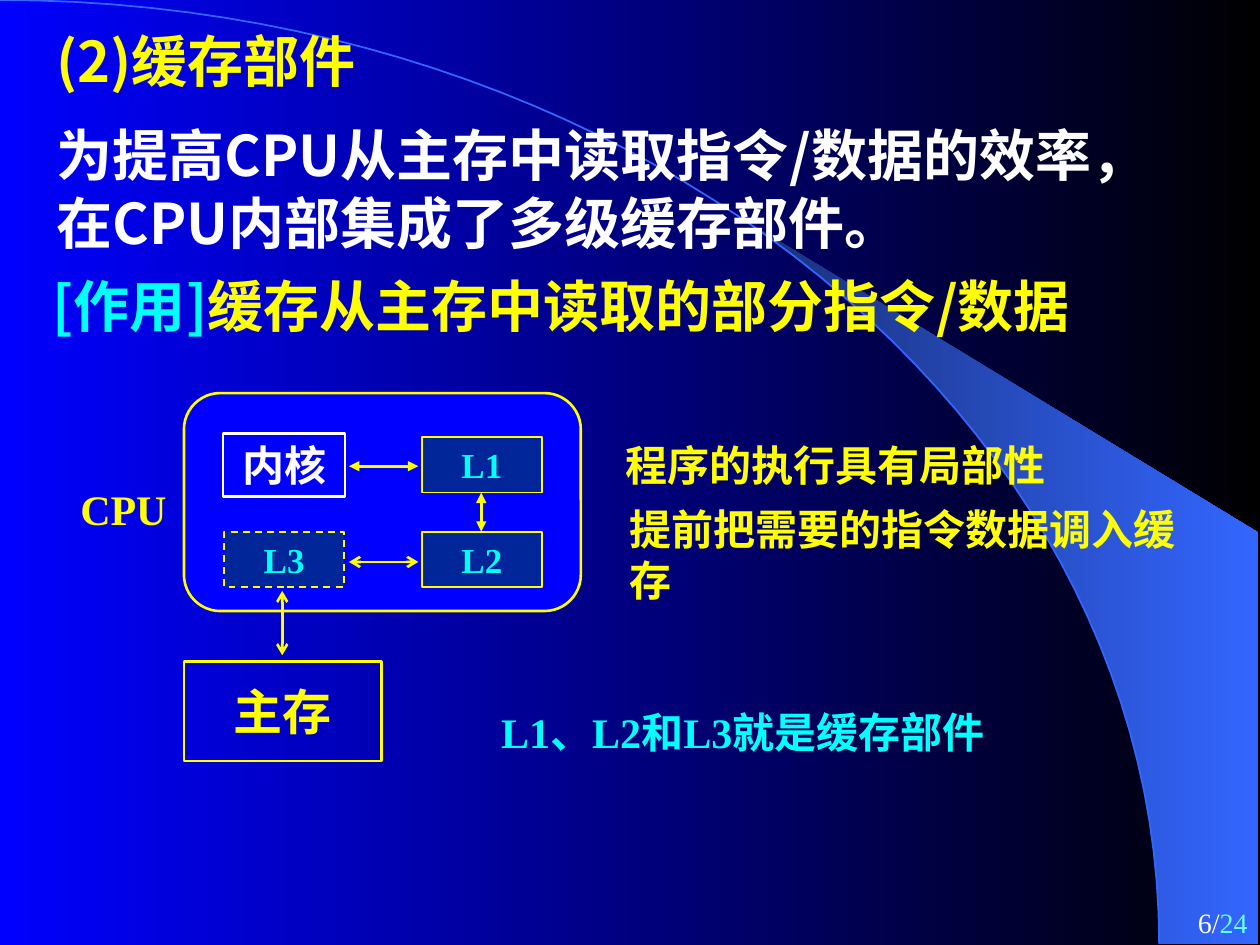
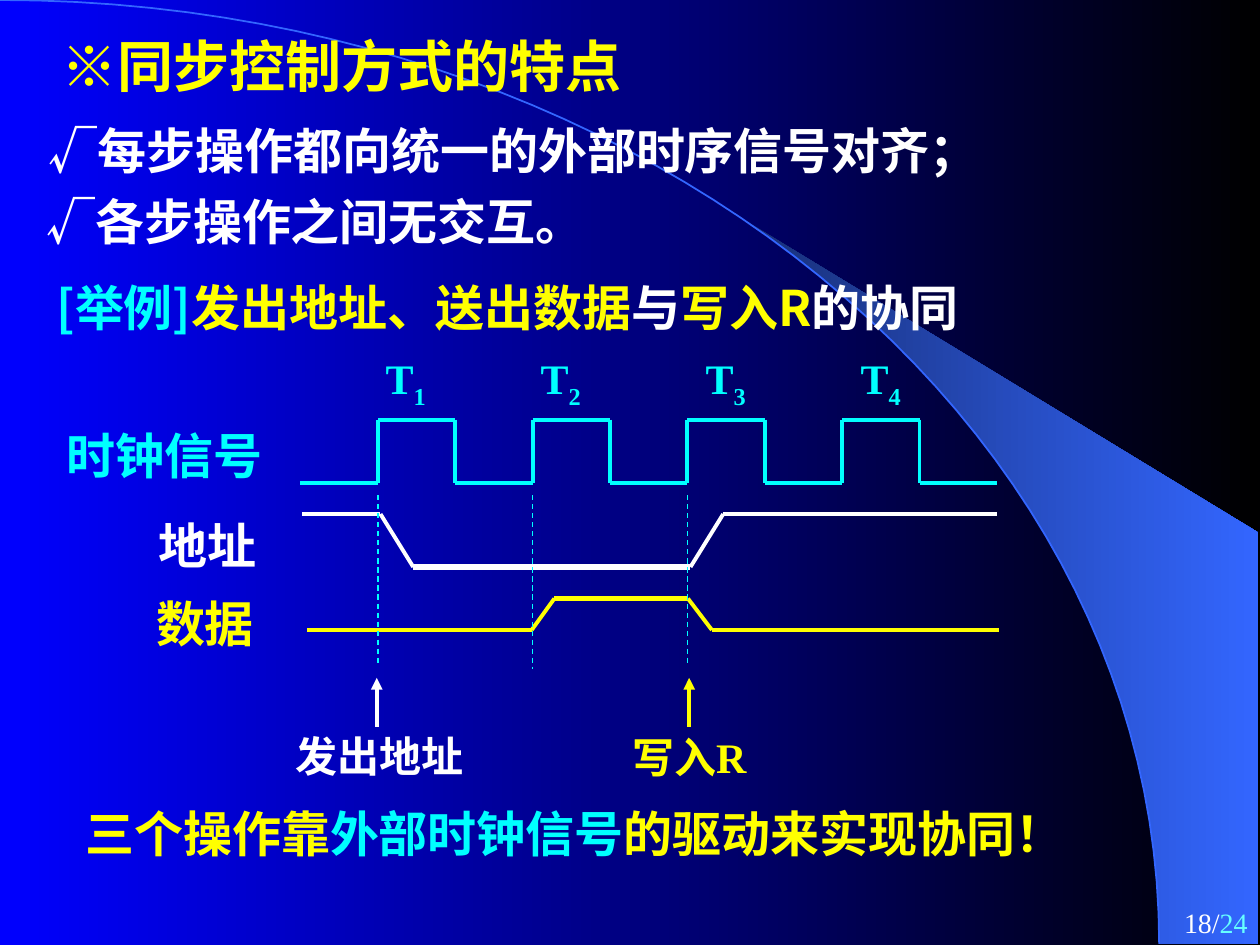
from lxml.etree import SubElement
from pptx import Presentation
from pptx.dml.color import RGBColor
from pptx.enum.dml import MSO_LINE
from pptx.enum.shapes import MSO_CONNECTOR, MSO_SHAPE
from pptx.enum.text import MSO_ANCHOR, PP_ALIGN
from pptx.oxml.ns import qn
from pptx.util import Inches, Pt

YELLOW = RGBColor(0xFF, 0xFF, 0x00)
CYAN = RGBColor(0x00, 0xFF, 0xFF)
PALE = RGBColor(0x66, 0xFF, 0xFF)
WHITE = RGBColor(0xFF, 0xFF, 0xFF)
BLACK = RGBColor(0x00, 0x00, 0x00)
BLUE = RGBColor(0x00, 0x00, 0xFF)
NAVY = RGBColor(0x00, 0x26, 0x99)
DEEP = RGBColor(0x18, 0x2F, 0x76)
SKY = RGBColor(0x33, 0x66, 0xFF)

SANS = "Noto Sans CJK SC"
SERIF = "Times New Roman"

# Grid: 100 columns by 75 rows over the whole slide
WIDTH, HEIGHT = Inches(10), Inches(7.5)
COL, ROW = WIDTH / 100, HEIGHT / 75
TOTAL = "24"


def place(x, y):
    return round(x * COL), round(y * ROW)


def blend(fill, first, last):
    fill.gradient()
    fill.gradient_angle = 0
    for stop, color in zip(fill.gradient_stops, (first, last)):
        stop.color.rgb = color


def style(run, color, size, font, bold=True):
    run.font.size = Pt(size)
    run.font.bold = bold
    run.font.color.rgb = color
    run.font.name = font
    SubElement(run.font._element, qn("a:ea"), typeface=SANS)


def write(frame, parts, size, font, align=PP_ALIGN.LEFT, bold=True):
    """Fill a frame with one paragraph of (text, colour) parts."""
    para = frame.paragraphs[0]
    para.alignment = align
    for text, color in parts:
        run = para.add_run()
        run.text = text
        style(run, color, size, font, bold)
    return para


def label(slide, box, parts, size=28, font=SANS, align=PP_ALIGN.LEFT,
          wrap=True, bold=True):
    x, y, w, h = box
    shape = slide.shapes.add_textbox(*place(x, y), *place(w, h))
    shape.text_frame.word_wrap = wrap
    return write(shape.text_frame, parts, size, font, align, bold)


def block(slide, box, line, fill=None, text="", ink=CYAN, size=20,
          width=1.5, kind=MSO_SHAPE.RECTANGLE):
    x, y, w, h = box
    shape = slide.shapes.add_shape(kind, *place(x, y), *place(w, h))
    shape.shadow.inherit = False
    if fill is None:
        shape.fill.background()
    else:
        shape.fill.solid()
        shape.fill.fore_color.rgb = fill
    shape.line.color.rgb = line
    shape.line.width = Pt(width)
    if text:
        frame = shape.text_frame
        frame.word_wrap = True
        frame.vertical_anchor = MSO_ANCHOR.MIDDLE
        write(frame, [(text, ink)], size, SERIF, PP_ALIGN.CENTER)
    return shape


def link(slide, start, end, color, width=2.25, head=None, tail=None, dash=False):
    line = slide.shapes.add_connector(
        MSO_CONNECTOR.STRAIGHT, *place(*start), *place(*end))
    line.line.color.rgb = color
    line.line.width = Pt(width)
    if dash:
        line.line.dash_style = MSO_LINE.DASH
    stroke = line.line._get_or_add_ln()
    for tag, tip in (("a:headEnd", head), ("a:tailEnd", tail)):
        if tip:
            SubElement(stroke, qn(tag), type=tip)
    SubElement(line._element.spPr, qn("a:effectLst"))


def trace(slide, points, color, thick=None):
    """Join points in turn; segment number thick is heavier."""
    for i, (start, end) in enumerate(zip(points, points[1:])):
        link(slide, start, end, color, 3 if i == thick else 2.25)


def outline(slide, points, close):
    start, *rest = [place(x, y) for x, y in points]
    path = slide.shapes.build_freeform(*start)
    path.add_line_segments(rest, close=close)
    shape = path.convert_to_shape()
    shape.shadow.inherit = False
    return shape


def curve(steps=50):
    """Points of the Bezier arc that sweeps across the slide."""
    points = []
    for i in range(steps + 1):
        t = i / steps
        a, b, c = 3 * t * (1 - t) ** 2, 3 * t * t * (1 - t), t ** 3
        points.append((50.8 * a + 92 * b + 92 * c, 33.5 * b + 74.9 * c))
    return points


def begin(deck, page):
    """Add a slide with the shared backdrop and page number."""
    slide = deck.slides.add_slide(deck.slide_layouts[6])
    blend(slide.background.fill, BLUE, BLACK)
    arc = curve()
    wing = outline(slide, arc[22:] + [(99.9, 74.9), (99.9, 42.3)], True)
    blend(wing.fill, DEEP, SKY)
    wing.line.fill.background()
    edge = outline(slide, arc, False)
    edge.fill.background()
    edge.line.color.rgb = SKY
    edge.line.width = Pt(1)
    label(slide, (79.2, 71.4, 20.8, 3.6), [(f"{page}/", WHITE), (TOTAL, PALE)],
          16, SERIF, PP_ALIGN.RIGHT, bold=False)
    return slide


def cache(deck):
    slide = begin(deck, 6)

    # Heading and explanation
    label(slide, (3.5, 1.6, 39.4, 6.4), [("(2)缓存部件", YELLOW)], 32)
    label(slide, (3.5, 9.1, 91.3, 11.7),
          [("为提高CPU从主存中读取指令/数据的效率，在CPU内部集成了多级缓存部件。", WHITE)], 32)
    label(slide, (3.2, 21.1, 89.3, 6.4),
          [("[作用]", CYAN), ("缓存从主存中读取的部分指令/数据", YELLOW)], 32)

    # Processor with its core and cache levels
    block(slide, (14.6, 31.2, 31.5, 17.3), YELLOW, BLUE,
          kind=MSO_SHAPE.ROUNDED_RECTANGLE)
    label(slide, (5.1, 37.9, 9.4, 5), [("CPU", YELLOW)], 24, SERIF, PP_ALIGN.CENTER)
    block(slide, (17.7, 34.4, 9.7, 5), WHITE, BLUE, "内核", WHITE, 24)
    for name, x, y in (("L1", 33.5, 34.7), ("L2", 33.5, 42.2), ("L3", 17.8, 42.2)):
        level = block(slide, (x, y, 9.5, 4.4), YELLOW, NAVY, name, width=1)
        if name == "L3":
            level.line.dash_style = MSO_LINE.DASH
    block(slide, (14.6, 52.5, 15.7, 7.9), YELLOW, None, "主存", YELLOW, 28)

    # Data paths
    for start, end, tip in (
            ((27.7, 37), (33.2, 37), "triangle"),
            ((38.2, 39.1), (38.2, 42.2), "triangle"),
            ((27.7, 44.6), (33.2, 44.6), "arrow"),
            ((22.4, 46.9), (22.4, 52), "arrow")):
        link(slide, start, end, YELLOW, 1.5, tip, tip)

    # Remarks
    for box, text, color in (
            ((38.8, 55.6, 44.3, 5), "L1、L2和L3就是缓存部件", CYAN),
            ((48.7, 34.4, 35.3, 5), "程序的执行具有局部性", YELLOW),
            ((49, 39.5, 48.6, 5), "提前把需要的指令数据调入缓存", YELLOW)):
        label(slide, box, [(text, color)], 24, SERIF, wrap=False)


def timing(deck):
    slide = begin(deck, 18)

    # Heading, features and example
    label(slide, (3.9, 2, 58.7, 6.4), [("※同步控制方式的特点", YELLOW)], 32)
    label(slide, (2.9, 9.1, 81, 5.7), [("√每步操作都向统一的外部时序信号对齐；", WHITE)])
    label(slide, (2.7, 14.7, 53.6, 5.7), [("√各步操作之间无交互。", WHITE)])
    label(slide, (3.5, 21.5, 76.9, 10.4),
          [("[举例]", CYAN), ("发出地址、送出数据", YELLOW), ("与", WHITE),
           ("写入R", YELLOW), ("的协同", WHITE)])

    # Signal names
    for box, text, color in (
            ((4.3, 33.3, 20.6, 5.7), "时钟信号", CYAN),
            ((11.6, 40.4, 12.6, 5.7), "地址", WHITE),
            ((11.4, 46.6, 13.4, 5.7), "数据", YELLOW)):
        label(slide, box, [(text, color)], 28, SERIF)

    # Clock wave: eight edges, half a period apart
    first, half, low, high = 30, 6.14, 38.3, 33.3
    wave = [(23.8, low)]
    for i in range(8):
        x = first + half * i
        wave += [(x, low), (x, high)] if i % 2 == 0 else [(x, high), (x, low)]
    trace(slide, wave + [(79.1, low)], CYAN)
    for i, x in enumerate((26.5, 38.8, 51.9, 64.2), 1):
        para = label(slide, (x, 27.5, 11.4, 5.6), [("T", CYAN), (str(i), CYAN)],
                     24, SERIF, PP_ALIGN.CENTER)
        para.runs[1].font._element.set("baseline", "-25000")

    # Address and data waves
    trace(slide, [(24, 40.8), (30.2, 40.8), (32.8, 45), (54.8, 45),
                  (57.4, 40.8), (79.1, 40.8)], WHITE, thick=2)
    trace(slide, [(24.4, 50), (42.2, 50), (44, 47.5), (54.6, 47.5),
                  (56.5, 50), (79.3, 50)], YELLOW, thick=2)
    link(slide, (27.4, 39.1), (27.4, 39.1), WHITE, 1)

    # Guides at the rising edges
    for i, foot in enumerate((52.6, 53.1, 52.7)):
        x = first + 2 * half * i
        link(slide, (x, 39.3), (x, foot), CYAN, 0.75, dash=True)

    # Marked moments
    for box, text, x, color in (
            ((19.7, 57.5, 20.8, 5), "发出地址", 29.9, WHITE),
            ((48.4, 57.6, 12.6, 5), "写入R", 54.7, YELLOW)):
        label(slide, box, [(text, color)], 24, SERIF, PP_ALIGN.CENTER)
        link(slide, (x, 57.7), (x, 53.8), color, tail="triangle")

    # Conclusion
    label(slide, (5.8, 63.3, 79.6, 5.7),
          [("三个操作靠", YELLOW), ("外部时钟信号", CYAN),
           ("的驱动来实现协同！", YELLOW)], wrap=False)


def main():
    deck = Presentation()
    deck.slide_width, deck.slide_height = WIDTH, HEIGHT
    cache(deck)
    timing(deck)
    deck.save("out.pptx")


if __name__ == "__main__":
    main()
